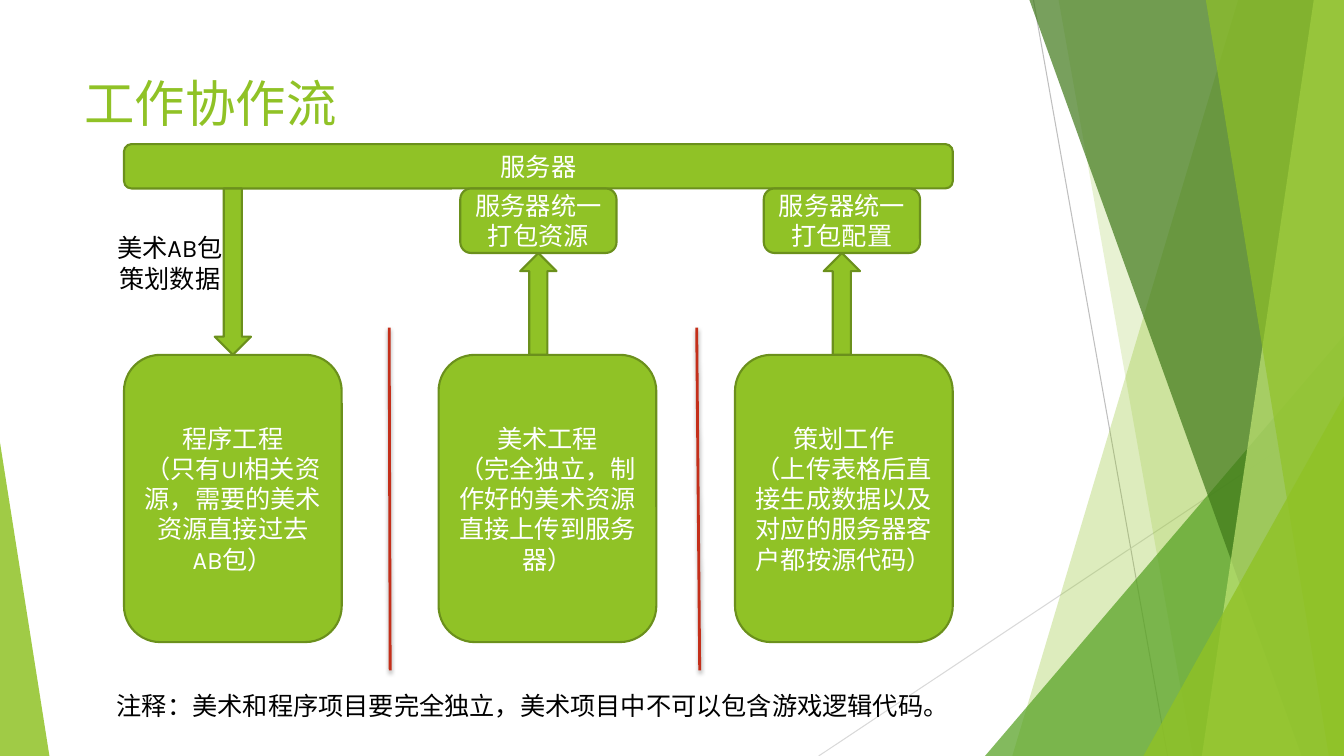
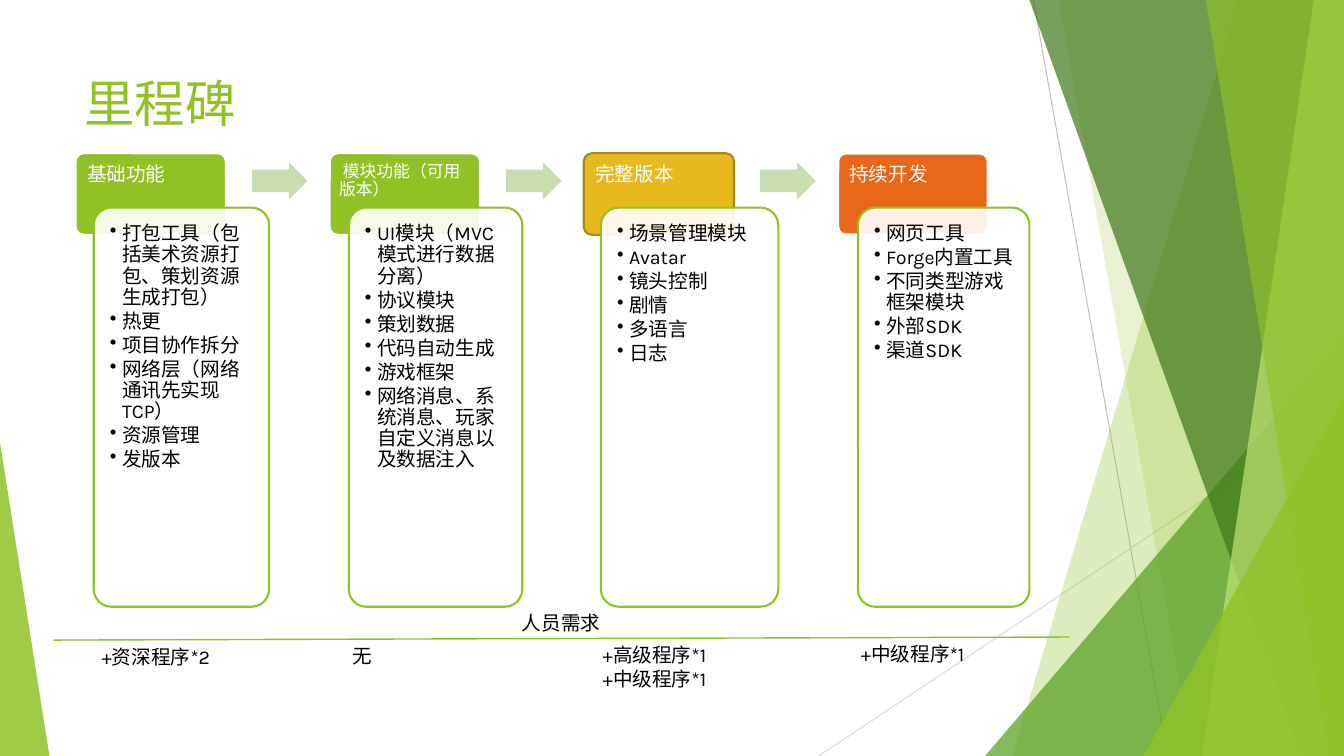
from collections import namedtuple

from lxml import etree
from pptx import Presentation
from pptx.dml.color import RGBColor
from pptx.enum.lang import MSO_LANGUAGE_ID
from pptx.enum.shapes import MSO_CONNECTOR, MSO_SHAPE
from pptx.enum.text import MSO_ANCHOR, PP_ALIGN
from pptx.oxml.ns import qn
from pptx.util import Inches, Pt

ROUNDED = MSO_SHAPE.ROUNDED_RECTANGLE
TRIANGLE = MSO_SHAPE.ISOSCELES_TRIANGLE
UP, DOWN, RIGHT = MSO_SHAPE.UP_ARROW, MSO_SHAPE.DOWN_ARROW, MSO_SHAPE.RIGHT_ARROW
STRAIGHT = MSO_CONNECTOR.STRAIGHT
LEFT, CENTER = PP_ALIGN.LEFT, PP_ALIGN.CENTER
TOP, MIDDLE = MSO_ANCHOR.TOP, MSO_ANCHOR.MIDDLE
CHINESE = MSO_LANGUAGE_ID.SIMPLIFIED_CHINESE

WIDTH, HEIGHT = Inches(13.33), Inches(7.5)
COLS, ROWS = 133.3, 75
FONT = "Karla"
GREEN, DARK_GREEN, LIME = "90C226", "6B901C", "C0E474"
LEAF, FOREST, PALE_GREEN = "54A021", "3F7819", "C6DDAD"
GOLD, DARK_GOLD, ORANGE, RED = "E6B91E", "AA8916", "E76618", "C42F1A"
WHITE, BLACK, GRAY, LIGHT_GRAY = "FFFFFF", "000000", "BFBFBF", "D9D9D9"

Box = namedtuple("Box", "left top width height")
Stage = namedtuple("Stage", "name size fill edge edge_width panel_width tasks staff staff_indent")

FLOW = Box(12.3, 14.3, 82.2, 49.4)
MILESTONES = Box(7.5, 15.2, 100.8, 45)
STAFFING = Box(5.3, 60.1, 100.8, 9)

PROJECTS = [
    (0, ["程序工程", "（只有UI相关资源，需要的美术资源直接过去AB包）"]),
    (31.2, ["美术工程", "（完全独立，制作好的美术资源直接上传到服务器）"]),
    (60.6, ["策划工作", "（上传表格后直接生成数据以及对应的服务器客户都按源代码）"]),
]
UPLOADS = [(41.1, "服务器统一打包资源"), (71.2, "服务器统一打包配置")]

STAGES = [
    Stage("基础功能", 14, GREEN, WHITE, 1.5, 17.4,
          ["打包工具（包括美术资源打包、策划资源生成打包）", "热更", "项目协作拆分",
           "网络层（网络通讯先实现TCP）", "资源管理", "发版本"],
          ["+资深程序*2"], 1.6),
    Stage(" 模块功能（可用版本）", 12, GREEN, WHITE, 1.5, 17.2,
          ["UI模块（MVC模式进行数据分离）", "协议模块", "策划数据", "代码自动生成",
           "游戏框架", "网络消息、系统消息、玩家自定义消息以及数据注入"],
          ["无"], 1.3),
    Stage("完整版本", 14, GOLD, DARK_GOLD, 1.5, 17.6,
          ["场景管理模块", "Avatar", "镜头控制", "剧情", "多语言", "日志"],
          ["+高级程序*1", "+中级程序*1"], 0.9),
    Stage("持续开发", 14, ORANGE, WHITE, 2, 17,
          ["网页工具", "Forge内置工具", "不同类型游戏框架模块", "外部SDK", "渠道SDK"],
          ["+中级程序*1"], 1.3),
]


def color(code):
    return RGBColor.from_string(code)


def across(cols):
    return round(WIDTH * cols / COLS)


def down(rows):
    return round(HEIGHT * rows / ROWS)


def measures(box):
    return across(box.left), down(box.top), across(box.width), down(box.height)


def within(region, left, top, width, height):
    return Box(region.left + left, region.top + top, width, height)


def paint(shape, fill, edge=None, edge_width=1.5, opacity=100):
    shape.shadow.inherit = False
    shape.fill.solid()
    shape.fill.fore_color.rgb = color(fill)
    if opacity < 100:
        tint = shape._element.spPr.find(qn("a:solidFill"))[0]
        etree.SubElement(tint, qn("a:alpha"), val=str(opacity * 1000))
    if edge:
        shape.line.color.rgb = color(edge)
        shape.line.width = Pt(edge_width)
    else:
        shape.line.fill.background()
    return shape


def add_figure(slide, preset, box, fill, edge=None, edge_width=1.5, opacity=100, adjust=()):
    figure = slide.shapes.add_shape(preset, *measures(box))
    for index, value in enumerate(adjust):
        figure.adjustments[index] = value
    return paint(figure, fill, edge, edge_width, opacity)


def add_rule(slide, start, end, stroke, width, shadow=False):
    rule = slide.shapes.add_connector(
        STRAIGHT, across(start[0]), down(start[1]), across(end[0]), down(end[1]))
    rule.line.color.rgb = color(stroke)
    rule.line.width = Pt(width)
    effects = etree.SubElement(rule._element.spPr, qn("a:effectLst"))
    if shadow:
        cast = etree.SubElement(effects, qn("a:outerShdw"), blurRad=str(Pt(3)),
                                dist=str(Pt(2)), dir="5400000", rotWithShape="0")
        shade = etree.SubElement(cast, qn("a:srgbClr"), val=BLACK)
        etree.SubElement(shade, qn("a:alpha"), val="35000")


def write(shape, lines, size, ink, align=LEFT, anchor=TOP, inset=None,
          spacing=None, after=0, bulleted=False):
    frame = shape.text_frame
    frame.word_wrap = True
    frame.vertical_anchor = anchor
    if inset is not None:
        frame.margin_left = frame.margin_right = Inches(inset)
        frame.margin_top = frame.margin_bottom = Inches(inset)
    frame.text = "\n".join(lines)
    for paragraph in frame.paragraphs:
        paragraph.alignment = align
        if spacing:
            paragraph.line_spacing = spacing
            paragraph.space_after = Pt(after)
        if bulleted:
            properties = paragraph._p.get_or_add_pPr()
            properties.set("marL", str(Inches(0.12)))
            properties.set("indent", str(-Inches(0.12)))
            etree.SubElement(properties, qn("a:buChar"), char="•")
        for run in paragraph.runs:
            run.font.name = FONT
            run.font.size = Pt(size)
            run.font.color.rgb = color(ink)
            run.font.language_id = CHINESE


def add_label(slide, box, lines, size, ink=BLACK, align=LEFT):
    write(slide.shapes.add_textbox(*measures(box)), lines, size, ink, align)


def add_ribbon(slide, top_left, bottom_left, fill, opacity):
    outline = slide.shapes.build_freeform(across(top_left), 0)
    outline.add_line_segments([
        (WIDTH, 0), (WIDTH, HEIGHT), (across(bottom_left), HEIGHT)], close=True)
    paint(outline.convert_to_shape(), fill, opacity=opacity)


def add_wedge(slide, left, top, width, apex, fill, opacity):
    box = Box(left, top, width, ROWS - top)
    add_figure(slide, TRIANGLE, box, fill, opacity=opacity, adjust=[apex])


def add_backdrop(slide):
    add_rule(slide, (102.5, 0), (115.8, ROWS), GRAY, 0.75)
    add_rule(slide, (COLS, 40.3), (81.2, ROWS), LIGHT_GRAY, 0.75)
    add_ribbon(slide, 122.8, 100.4, GREEN, 30)
    add_ribbon(slide, 105, 118.3, GREEN, 20)
    add_wedge(slide, 97.7, 33.3, 35.6, 1, LEAF, 72)
    add_ribbon(slide, 102.1, 129.1, FOREST, 70)
    add_ribbon(slide, 130.3, 119.2, LIME, 70)
    add_ribbon(slide, 119.6, 131.8, GREEN, 65)
    add_wedge(slide, 113.4, 39.3, 19.9, 1, GREEN, 80)
    add_wedge(slide, 0, 43.9, 4.9, 0, GREEN, 85)


def start_slide(deck, title):
    slide = deck.slides.add_slide(deck.slide_layouts[6])
    add_backdrop(slide)
    add_label(slide, Box(7.4, 6.7, 94, 14.4), [title], 36, GREEN)
    return slide


def add_block(slide, box, lines):
    block = add_figure(slide, ROUNDED, box, GREEN, DARK_GREEN)
    write(block, lines, 18, WHITE, CENTER, MIDDLE)


def add_flow(slide, region):
    server_height, card_top, card_width = 4.4, 20.9, 21.6
    arrow_width, pack_width, pack_height = 3.6, 15.5, 6.4
    pack_bottom = server_height + pack_height

    for left, lines in PROJECTS:
        add_block(slide, within(region, left, card_top, card_width,
                                region.height - card_top), lines)
    for top_x, bottom_x in [(26.3, 26.4), (56.8, 57.1)]:
        add_rule(slide, (region.left + top_x, region.top + 18.2),
                 (region.left + bottom_x, region.top + 52.2), RED, 2, shadow=True)
    add_block(slide, within(region, 0, 0, region.width, server_height), ["服务器"])
    add_figure(slide, DOWN, within(region, (card_width - arrow_width) / 2, server_height,
                                   arrow_width, card_top - server_height), GREEN, DARK_GREEN)
    add_label(slide, within(region, -1.7, 8.3, 12.5, 7.1), ["美术AB包", "策划数据"],
              18, align=CENTER)
    for center, name in UPLOADS:
        add_figure(slide, UP, within(region, center - arrow_width / 2, pack_bottom,
                                     arrow_width, card_top - pack_bottom), GREEN, DARK_GREEN)
        add_block(slide, within(region, center - pack_width / 2, server_height,
                                pack_width, pack_height), [name])
    add_label(slide, within(region, -1.7, 53.7, 87.8, 4),
              ["注释：美术和程序项目要完全独立，美术项目中不可以包含游戏逻辑代码。"], 18)


def add_stage(slide, box, stage, followed):
    panel_top, panel_center = 5.4, 10.5
    heading = add_figure(slide, ROUNDED, within(box, 0, 0, 14.9, 8.1), stage.fill,
                         stage.edge, stage.edge_width, adjust=[0.1])
    write(heading, [stage.name], stage.size, WHITE,
          inset=stage.size / 100 - 0.05, spacing=0.9)
    panel = add_figure(
        slide, ROUNDED,
        within(box, panel_center - stage.panel_width / 2, panel_top,
               stage.panel_width, box.height - panel_top),
        WHITE, GREEN, opacity=90, adjust=[0.1])
    write(panel, stage.tasks, 14, BLACK, inset=0.11, spacing=0.9, after=2, bulleted=True)
    if followed:
        add_figure(slide, RIGHT, within(box, 17.5, 0.9, 5.5, 3.7), PALE_GREEN,
                   adjust=[0.6, 0.5])


def add_milestones(slide, region):
    pitch = region.width / len(STAGES)
    for index, stage in enumerate(STAGES):
        add_stage(slide, within(region, index * pitch, 0, pitch, region.height),
                  stage, index < len(STAGES) - 1)


def add_staffing(slide, region):
    pitch = region.width / len(STAGES)
    line_top, slope = 3.4, 0.1
    add_rule(slide, (region.left, region.top + line_top),
             (region.left + region.width, region.top + line_top - 3 * slope), GREEN, 1)
    add_label(slide, within(region, 39.7, 0, 21.3, 3.4), ["人员需求"], 14, align=CENTER)
    for index, stage in enumerate(STAGES):
        left = MILESTONES.left - region.left + index * pitch + stage.staff_indent
        add_label(slide, within(region, left, line_top - index * slope, 16,
                                1.1 + 2.3 * len(stage.staff)), stage.staff, 14)


def main():
    deck = Presentation()
    deck.slide_width, deck.slide_height = WIDTH, HEIGHT
    add_flow(start_slide(deck, "工作协作流"), FLOW)
    milestones = start_slide(deck, "里程碑")
    add_milestones(milestones, MILESTONES)
    add_staffing(milestones, STAFFING)
    deck.save("out.pptx")


if __name__ == "__main__":
    main()
